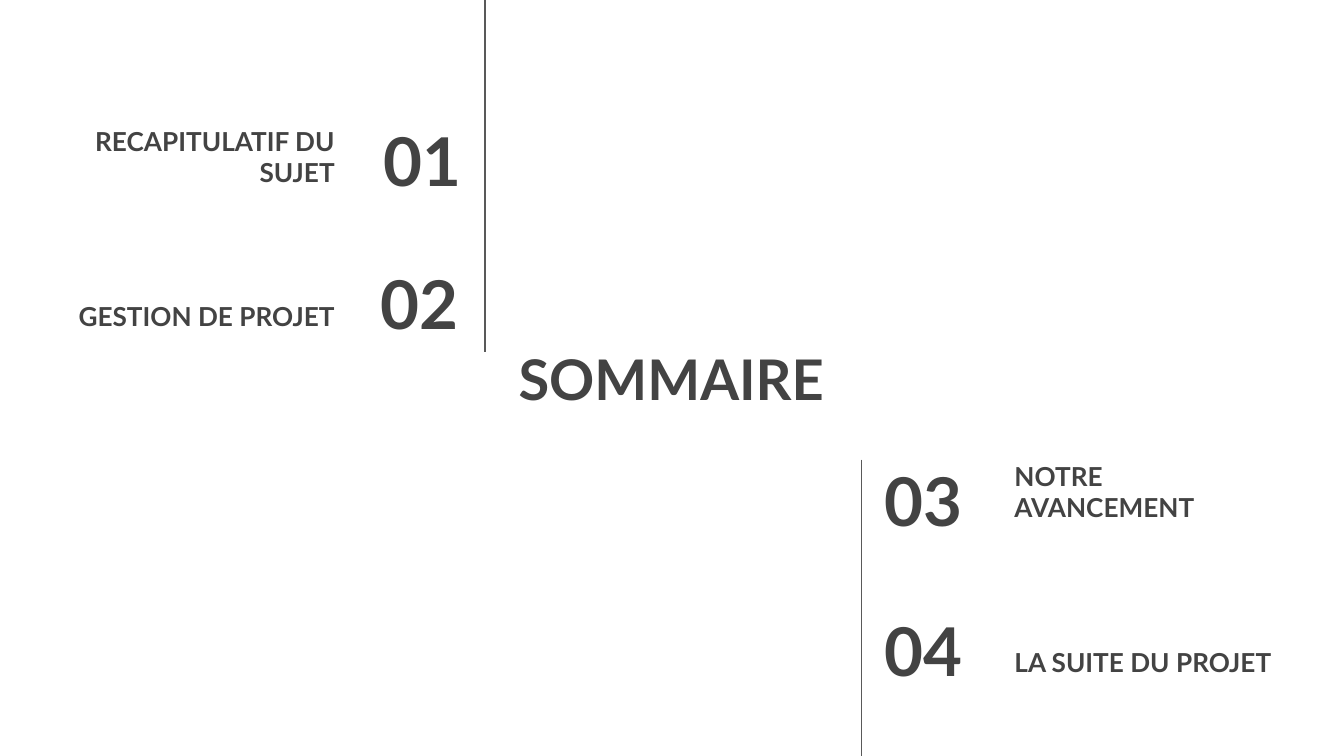
from lxml import etree
from pptx import Presentation
from pptx.dml.color import RGBColor
from pptx.enum import shapes, text
from pptx.oxml.ns import qn
from pptx.util import Pt

COLORS = {"background": "FFFFFF", "text": "434343", "line": "595959"}
FONT = "Lato"
WIDTH, HEIGHT = 720, 405
ROW_HEIGHT = 45.4
LEFT, RIGHT, CENTER = text.PP_ALIGN.LEFT, text.PP_ALIGN.RIGHT, text.PP_ALIGN.CENTER
MIDDLE, BOTTOM = text.MSO_ANCHOR.MIDDLE, text.MSO_ANCHOR.BOTTOM

HEADING = ("SOMMAIRE", (266.4, 165.6, 186.5, 74.2))
# number, its (left, top, width), label, its (left, top, width), alignment
SECTIONS = [
    ("01", (167, 62.6, 87.1), "RECAPITULATIF DU SUJET", (18, 62.6, 168.5), RIGHT),
    ("02", (165.6, 139.7, 87.1), "GESTION DE PROJET", (31, 139.7, 155.5), RIGHT),
    ("03", (466.6, 244.8, 84.2), "NOTRE AVANCEMENT", (536.4, 241.9, 155.5), LEFT),
    ("04", (466.6, 325.4, 84.2), "LA SUITE DU PROJET", (536.4, 324.7, 155.5), LEFT),
]
# x, top, bottom
RULES = [(259.9, 0, 188.6), (461.5, 246.2, HEIGHT)]


def rgb(name):
    return RGBColor.from_string(COLORS[name])


def write(shape, content, box, size, alignment, anchor):
    shape.left, shape.top, shape.width, shape.height = map(Pt, box)
    frame = shape.text_frame
    frame.text = content
    frame_format = {"word_wrap": True, "auto_size": text.MSO_AUTO_SIZE.NONE,
                    "vertical_anchor": anchor}
    for side in ("left", "top", "right", "bottom"):
        frame_format[f"margin_{side}"] = Pt(7.2)
    for name, value in frame_format.items():
        setattr(frame, name, value)
    paragraph = frame.paragraphs[0]
    paragraph.alignment = alignment
    font = paragraph.runs[0].font
    for name, value in {"name": FONT, "size": Pt(size), "bold": True}.items():
        setattr(font, name, value)
    font.color.rgb = rgb("text")


def add_rule(slide, x, top, bottom):
    rule = slide.shapes.add_connector(
        shapes.MSO_CONNECTOR.STRAIGHT, Pt(x), Pt(top), Pt(x), Pt(bottom))
    rule.line.color.rgb = rgb("line")
    rule.line.width = Pt(0.75)
    etree.SubElement(rule._element.spPr, qn("a:effectLst"))


def main():
    presentation = Presentation()
    presentation.slide_width, presentation.slide_height = Pt(WIDTH), Pt(HEIGHT)
    slide = presentation.slides.add_slide(presentation.slide_layouts[5])
    slide.background.fill.solid()
    slide.background.fill.fore_color.rgb = rgb("background")

    heading, box = HEADING
    write(slide.shapes.title, heading, box, 30, CENTER, MIDDLE)
    for number, number_box, label, label_box, alignment in SECTIONS:
        for content, place, size, anchor in (
            (label, label_box, 14, BOTTOM),
            (number, number_box, 36, MIDDLE),
        ):
            box = (*place, ROW_HEIGHT)
            shape = slide.shapes.add_textbox(*map(Pt, box))
            write(shape, content, box, size, alignment, anchor)
    for rule in RULES:
        add_rule(slide, *rule)
    presentation.save("out.pptx")


if __name__ == "__main__":
    main()
